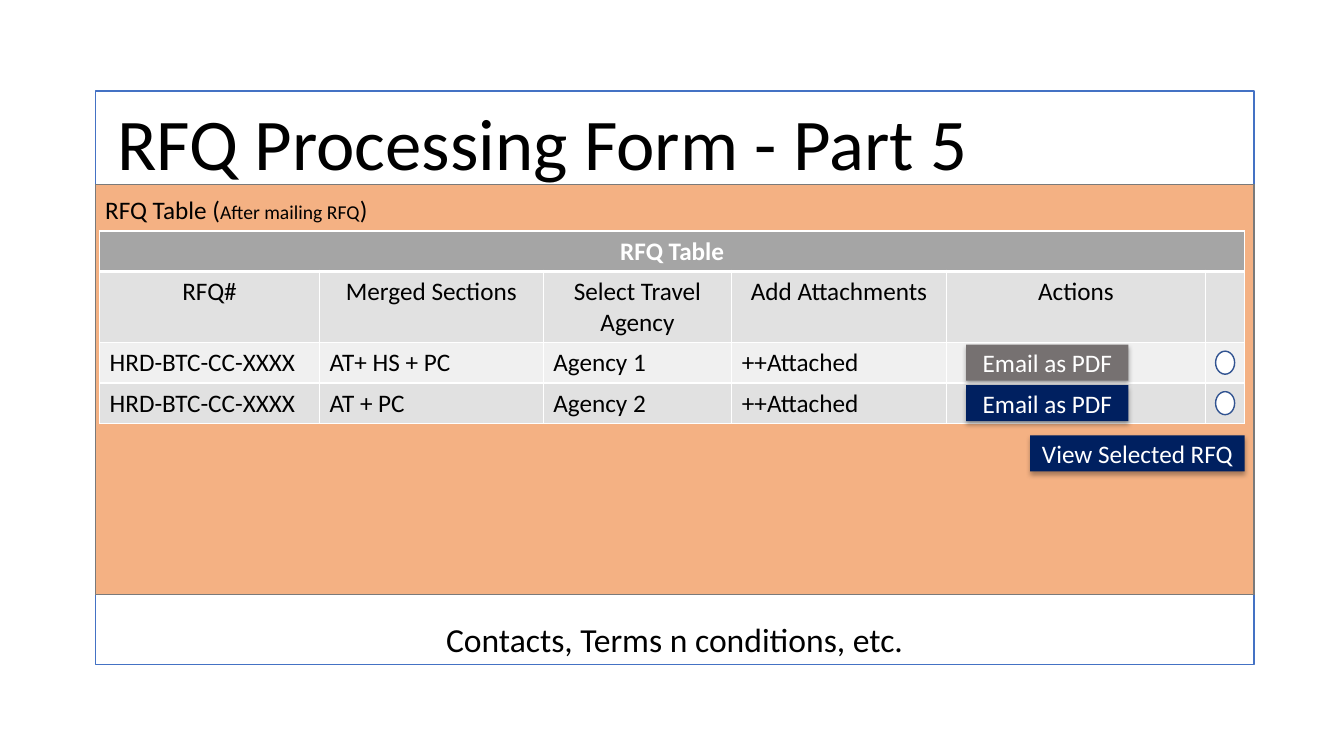
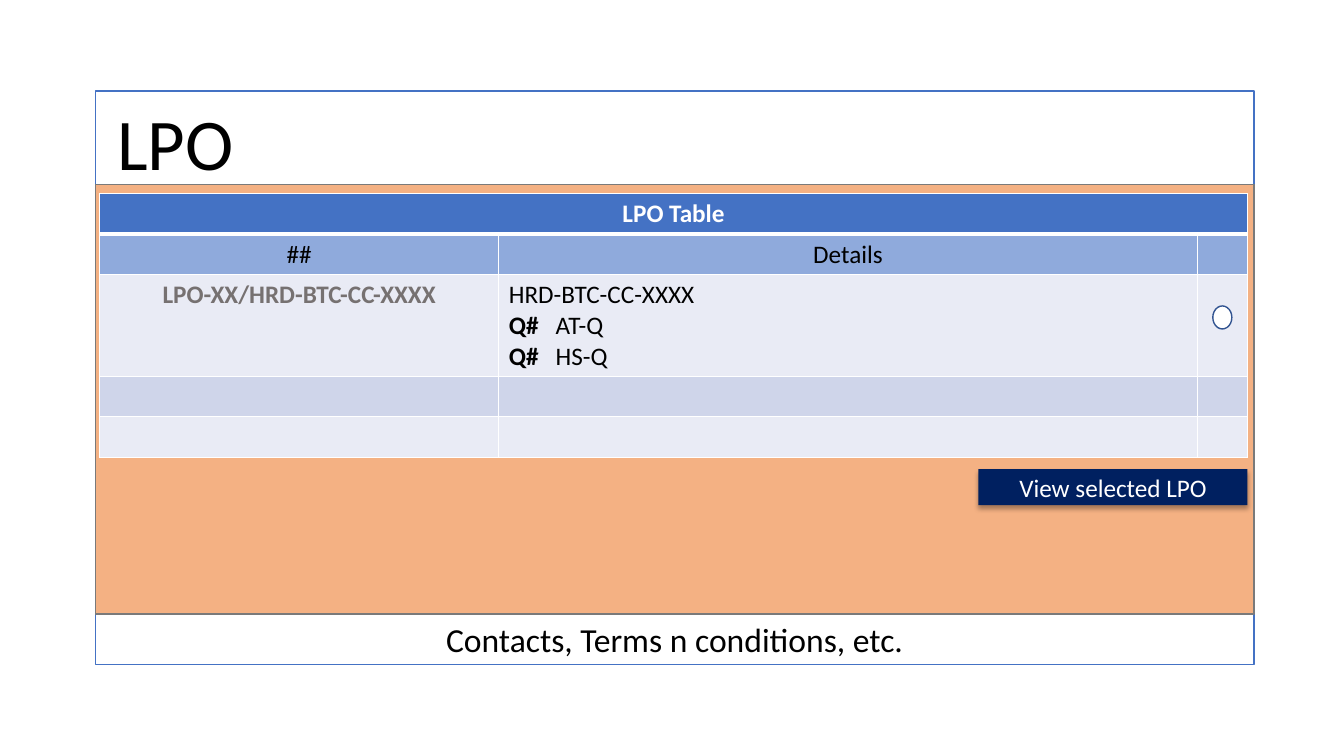
from dataclasses import dataclass
from itertools import accumulate

from lxml.etree import SubElement
from pptx import Presentation
from pptx.dml.color import RGBColor
from pptx.enum.shapes import MSO_SHAPE
from pptx.enum.text import MSO_ANCHOR, MSO_AUTO_SIZE, PP_ALIGN
from pptx.oxml.ns import qn
from pptx.util import Cm, Pt


@dataclass(frozen=True)
class Theme:
    """Colours, type sizes (points) and line widths (points)."""
    font: str = "Calibri"
    title_size: int = 52
    footer_size: int = 24
    text_size: int = 18
    small_size: int = 14
    thin: int = 1
    thick: int = 3
    white: str = "FFFFFF"
    black: str = "000000"
    blue: str = "4472C4"
    outline: str = "7A7A7A"
    body: str = "F4B183"
    navy: str = "002060"
    grey: str = "767171"
    radio: str = "325491"
    rfq_rows: tuple = ("A5A5A5", "E1E1E1", "F0F0F0", "E1E1E1")
    lpo_rows: tuple = ("4472C4", "8FAADC", "E9EBF5", "CFD5EA", "E9EBF5")


THEME = Theme()


@dataclass(frozen=True)
class Box:
    """A rectangle in centimetres."""
    left: float
    top: float
    width: float
    height: float

    @property
    def right(self):
        """Return the right edge."""
        return self.left + self.width

    @property
    def bottom(self):
        """Return the bottom edge."""
        return self.top + self.height

    def lengths(self):
        """Return left, top, width and height as slide lengths."""
        return [Cm(value) for value in (self.left, self.top, self.width, self.height)]

    def middle(self, width, height):
        """Return a box of the given size centred in this one."""
        return Box(self.left + (self.width - width) / 2,
                   self.top + (self.height - height) / 2, width, height)


@dataclass(frozen=True)
class Run:
    """A piece of text in one style."""
    text: str
    size: int = THEME.text_size
    color: str = THEME.black
    bold: bool = False


@dataclass(frozen=True)
class Line:
    """One paragraph: its runs, alignment and optional tab stop (cm)."""
    runs: tuple
    align: PP_ALIGN = PP_ALIGN.LEFT
    tab: float = 0


def left(text):
    """Return a plain left-aligned line."""
    return Line((Run(text),))


def centred(text, **style):
    """Return a centred line in one style."""
    return Line((Run(text, **style),), PP_ALIGN.CENTER)


def write(text_frame, *lines):
    """Fill a text frame with lines, run by run."""
    for index, line in enumerate(lines):
        paragraph = text_frame.paragraphs[0] if index == 0 else text_frame.add_paragraph()
        paragraph.alignment = line.align
        for part in line.runs:
            run = paragraph.add_run()
            run.text = part.text
            run.font.name = THEME.font
            run.font.size = Pt(part.size)
            run.font.bold = part.bold
            run.font.color.rgb = RGBColor.from_string(part.color)
        if line.tab:
            properties = paragraph.runs[0].font and paragraph._p.get_or_add_pPr()
            stops = SubElement(properties, qn("a:tabLst"))
            SubElement(stops, qn("a:tab"), pos=str(Cm(line.tab)), algn="l")


def add_panel(slide, box, fill, outline=None, preset=MSO_SHAPE.RECTANGLE):
    """Add a flat filled shape, with an outline if a colour is given."""
    shape = slide.shapes.add_shape(preset, *box.lengths())
    shape.shadow.inherit = False
    shape.fill.solid()
    shape.fill.fore_color.rgb = RGBColor.from_string(fill)
    if outline:
        shape.line.color.rgb = RGBColor.from_string(outline)
        shape.line.width = Pt(THEME.thin)
    else:
        shape.line.fill.background()
    return shape


def add_button(slide, box, label, fill):
    """Add a button with a soft shadow below it."""
    button = add_panel(slide, box, fill)
    button.text_frame.word_wrap = False
    button.text_frame.vertical_anchor = MSO_ANCHOR.MIDDLE
    write(button.text_frame, centred(label, color=THEME.white))
    effects = button.element.spPr.find(qn("a:effectLst"))
    shadow = SubElement(effects, qn("a:outerShdw"), blurRad=str(Pt(3.5)),
                        dist=str(Pt(2.2)), dir="5400000", algn="ctr", rotWithShape="0")
    color = SubElement(shadow, qn("a:srgbClr"), val=THEME.black)
    SubElement(color, qn("a:alpha"), val="32000")


def add_radio(slide, cell_box, rise=0):
    """Add a radio button in the middle of a cell, raised if asked."""
    box = cell_box.middle(0.48, 0.58)
    add_panel(slide, Box(box.left, box.top - rise, box.width, box.height),
              THEME.white, THEME.radio, MSO_SHAPE.FLOWCHART_CONNECTOR)


def add_view_button(slide, table_box, label, width):
    """Add the view button under the right end of a table."""
    box = Box(table_box.right - width, table_box.bottom + 0.3, width, 0.91)
    add_button(slide, box, label, THEME.navy)


def set_title(slide, box, text):
    """Place the title placeholder in front of the form and fill it."""
    title = slide.shapes.title
    title.left, title.top, title.width, title.height = box.lengths()
    slide.shapes.element.append(title.element)
    title.text_frame.word_wrap = True
    title.text_frame.auto_size = MSO_AUTO_SIZE.NONE
    title.text_frame.vertical_anchor = MSO_ANCHOR.TOP
    write(title.text_frame, Line((Run(text, THEME.title_size),)))


def add_footer(slide, box):
    """Add the line of text at the foot of the form."""
    footer = slide.shapes.add_textbox(*box.lengths())
    footer.text_frame.word_wrap = True
    write(footer.text_frame,
          centred("Contacts, Terms n conditions, etc.", size=THEME.footer_size))


def add_form(presentation, box, title, body_height):
    """Add a slide with the form's frame, title and footer; return slide and body."""
    slide = presentation.slides.add_slide(presentation.slide_layouts[5])
    add_panel(slide, box, THEME.white, THEME.blue)
    body_box = Box(box.left, box.top + 2.36, box.width, body_height)
    body = add_panel(slide, body_box, THEME.body, THEME.outline)
    set_title(slide, Box(box.left + 0.3, box.top + 0.05, box.width - 0.95, 2.49), title)
    add_footer(slide, Box(box.left, box.bottom - 1.27, box.width, 1.27))
    return slide, body, body_box


def set_borders(cell, top, bottom):
    """Draw white borders round a cell, with the given top and bottom widths."""
    properties = cell._tc.get_or_add_tcPr()
    widths = {"lnL": THEME.thin, "lnR": THEME.thin, "lnT": top, "lnB": bottom}
    for tag, width in widths.items():
        border = SubElement(properties, qn(f"a:{tag}"), w=str(Pt(width)))
        fill = SubElement(border, qn("a:solidFill"))
        SubElement(fill, qn("a:srgbClr"), val=THEME.white)


def add_grid(slide, corner, columns, heights, fills, rows):
    """Add a table under a merged heading; return its box and its cells' boxes."""
    box = Box(*corner, sum(columns), sum(heights))
    table = slide.shapes.add_table(len(heights), len(columns), *box.lengths()).table
    table.first_row = table.horz_banding = False
    for column, width in zip(table.columns, columns):
        column.width = Cm(width)
    for index, (row, height) in enumerate(zip(table.rows, heights)):
        row.height = Cm(height)
        for cell in row.cells:
            set_borders(cell, THEME.thick if index == 1 else THEME.thin,
                        THEME.thick if index == 0 else THEME.thin)
            cell.fill.solid()
            cell.fill.fore_color.rgb = RGBColor.from_string(fills[index])
    table.cell(0, 0).merge(table.cell(0, len(columns) - 1))
    for row, contents in zip(table.rows, rows):
        for cell, lines in zip(row.cells, contents):
            write(cell.text_frame, *lines)
    lefts = accumulate(columns[:-1], initial=box.left)
    tops = accumulate(heights[:-1], initial=box.top)
    spans = list(zip(lefts, columns))
    cells = [[Box(x, y, width, height) for x, width in spans]
             for y, height in zip(tops, heights)]
    return box, cells


def heading(text):
    """Return the contents of a merged heading row."""
    return [[centred(text, color=THEME.white, bold=True)]]


def add_rfq_slide(presentation, box):
    """Add the RFQ form with its table and buttons."""
    slide, body, body_box = add_form(presentation, box, "RFQ Processing Form - Part 5", 10.34)
    body.text_frame.word_wrap = True
    body.text_frame.vertical_anchor = MSO_ANCHOR.TOP
    body.text_frame.margin_top = Cm(0.25)
    write(body.text_frame, Line((Run("RFQ Table ("),
                                 Run("After mailing RFQ", THEME.small_size), Run(")"))))
    labels = ("RFQ#", "Merged Sections", "Select Travel Agency", "Add Attachments", "Actions")
    requests = (("HRD-BTC-CC-XXXX", "AT+ HS + PC", "Agency 1", "++Attached"),
                ("HRD-BTC-CC-XXXX", "AT + PC", "Agency 2", "++Attached"))
    rows = [heading("RFQ Table"), [[centred(label)] for label in labels]]
    rows += [[[left(text)] for text in request] for request in requests]
    table_box, cells = add_grid(
        slide, (body_box.left + 0.11, body_box.top + 1.17),
        (5.54, 5.64, 4.75, 5.41, 6.53, 0.99), (1.02, 1.79, 1.02, 1.02),
        THEME.rfq_rows, rows)
    add_view_button(slide, table_box, "View Selected RFQ", 5.41)
    for row, fill in zip(cells[2:], (THEME.grey, THEME.navy)):
        action = row[4].middle(4.09, 0.91)
        add_button(slide, Box(row[4].left + 0.5, action.top, action.width, action.height),
                   "Email as PDF", fill)
        add_radio(slide, row[5])


def add_lpo_slide(presentation, box):
    """Add the LPO form with its table and button."""
    slide, _, body_box = add_form(presentation, box, "LPO", 10.82)
    quotes = [Line((Run("Q#\t", bold=True), Run(quote)), tab=1.18)
              for quote in ("AT-Q", "HS-Q")]
    rows = [heading("LPO Table"),
            [[centred("##")], [centred("Details")]],
            [[centred("LPO-XX/HRD-BTC-CC-XXXX", color=THEME.grey, bold=True)],
             [left("HRD-BTC-CC-XXXX"), *quotes]]]
    table_box, cells = add_grid(
        slide, (body_box.left + 0.11, body_box.top + 0.23),
        (10.06, 17.6, 1.27), (1.02, 1.02, 2.56, 1.02, 1.02), THEME.lpo_rows, rows)
    add_view_button(slide, table_box, "View selected LPO", 6.78)
    add_radio(slide, cells[2][2], rise=0.2)


def main():
    """Build both forms and save them."""
    presentation = Presentation()
    presentation.slide_width, presentation.slide_height = Cm(33.87), Cm(19.05)
    form_box = Box(2.4, 2.29, 29.2, 14.45)
    add_rfq_slide(presentation, form_box)
    add_lpo_slide(presentation, form_box)
    presentation.save("out.pptx")


main()
